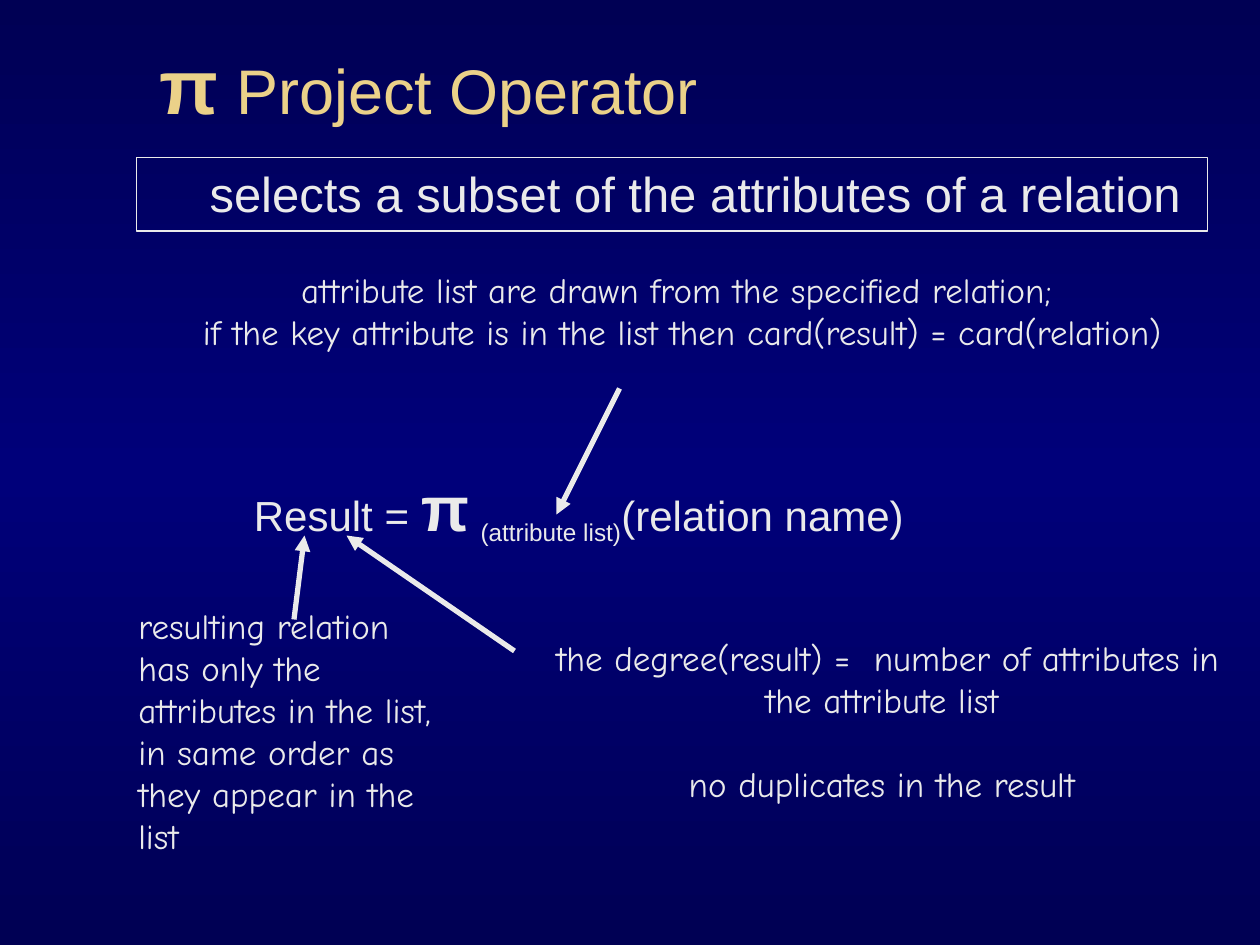
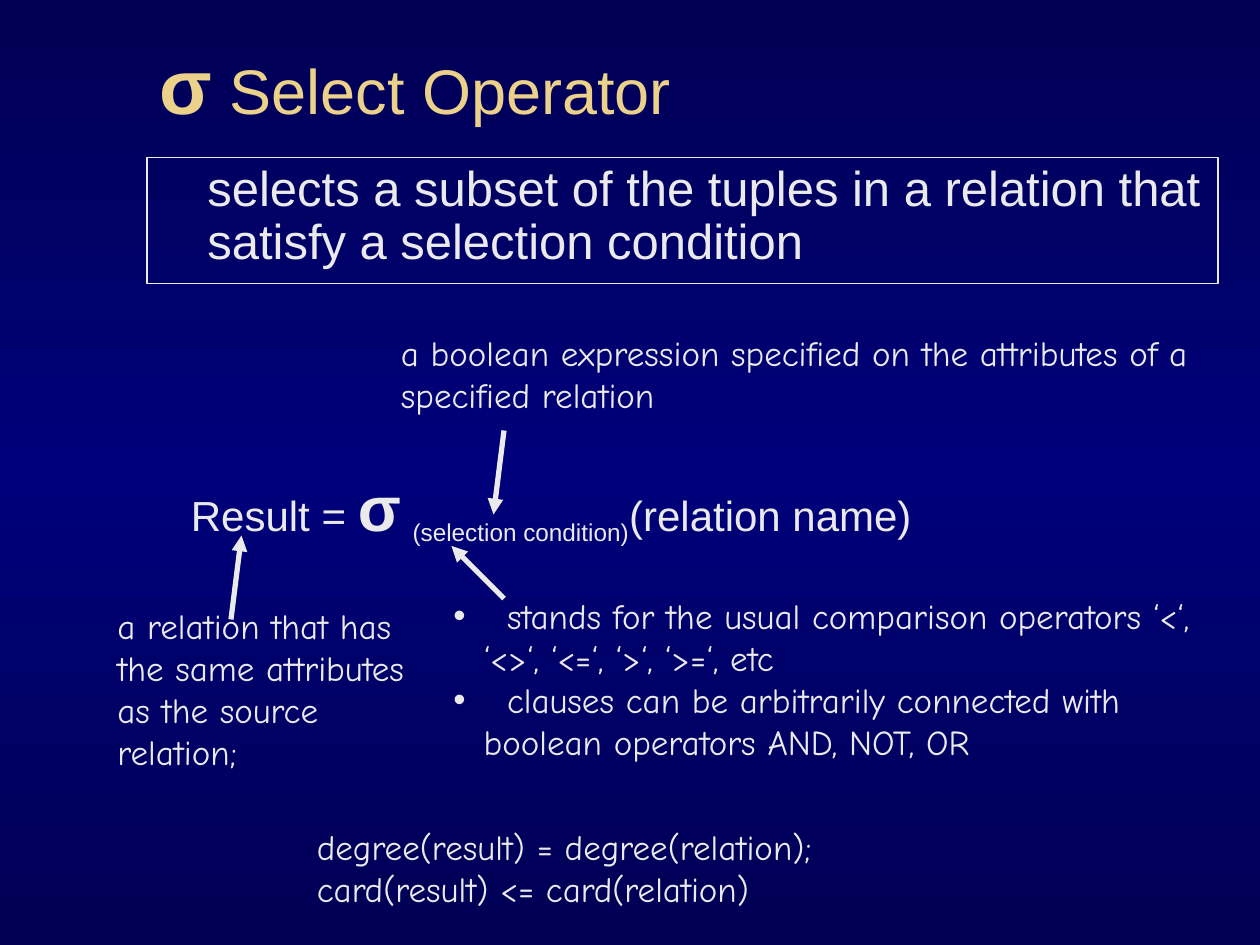
from copy import deepcopy

from lxml import etree
from pptx import Presentation, util as u
from pptx.dml.color import RGBColor
from pptx.enum import shapes, text
from pptx.oxml.ns import qn

COLORS = {"edge": "000054", "middle": "00007A", "title": "EBD189", "text": "EAEAEA"}
BODY_FONT, NOTE_FONT = "Arial", "Comic Neue"
COLS, ROWS = 120, 90
WIDTH, HEIGHT = u.Inches(10), u.Inches(7.5)
LEFT, CENTER = text.PP_ALIGN.LEFT, text.PP_ALIGN.CENTER


def grid(*cells):
    """Turn column, row pairs into lengths."""
    return [u.Emu(round(c * (HEIGHT / ROWS if i % 2 else WIDTH / COLS)))
            for i, c in enumerate(cells)]


def rgb(name):
    return RGBColor.from_string(COLORS[name])


def write(tf, paragraphs, size=20, font=NOTE_FONT, color="text", align=LEFT,
          gap=None, spacing=None, margin=None, hanging=0, bullet=None):
    """Each paragraph is a string or a list of (string, run format) pairs."""
    tf.word_wrap = True
    tf.auto_size = text.MSO_AUTO_SIZE.NONE
    for i, runs in enumerate(paragraphs):
        p = tf.paragraphs[0] if i == 0 else tf.add_paragraph()
        p.alignment = align
        if gap and i:
            p.space_before = u.Pt(gap)
        if spacing:
            p.line_spacing = spacing
        if margin is not None:
            pPr = p._p.get_or_add_pPr()
            pPr.set("marL", str(u.Inches(margin)))
            pPr.set("indent", str(-u.Inches(hanging)))
            if bullet:
                etree.SubElement(pPr, qn("a:buFont"), typeface="Arial")
                etree.SubElement(pPr, qn("a:buChar"), char=bullet)
            else:
                etree.SubElement(pPr, qn("a:buNone"))
        for words, fmt in [(runs, {})] if isinstance(runs, str) else runs:
            r = p.add_run()
            r.text = words
            r.font.name = font
            r.font.size = u.Pt(fmt.get("size", size))
            r.font.bold = fmt.get("bold", False)
            r.font.color.rgb = rgb(color)
            if "baseline" in fmt:
                r._r.get_or_add_rPr().set("baseline", str(fmt["baseline"] * 1000))


def paint_background(master):
    fill = master.background.fill
    fill.gradient()
    fill.gradient_angle = 90
    first, middle = fill.gradient_stops
    first.color.rgb, middle.color.rgb = rgb("edge"), rgb("middle")
    first.position, middle.position = 0, 0.5
    stops = master.element.find(".//" + qn("a:gsLst"))
    last = deepcopy(stops[0])
    last.set("pos", "100000")
    stops.append(last)


def place(sp, cells):
    sp.left, sp.top, sp.width, sp.height = grid(*cells)


def operator_slide(prs, symbol, name, definition, box, margin, spacing=None):
    """Title with the operator's symbol and a framed definition."""
    s = prs.slides.add_slide(prs.slide_layouts[1])
    title, body = s.placeholders
    place(title, (14, 4, 102, 9))
    title.text_frame.vertical_anchor = text.MSO_ANCHOR.BOTTOM
    write(title.text_frame, [[(symbol, {"size": 44, "bold": True}), (f" {name}", {})]],
          size=36, font=BODY_FONT, color="title")
    place(body, box)
    body.line.color.rgb = rgb("text")
    body.line.width = u.Pt(0.75)
    write(body.text_frame, [definition], size=28, font=BODY_FONT,
          margin=margin, spacing=spacing)
    return s


def note(s, cells, paragraphs, **fmt):
    sp = s.shapes.add_textbox(*grid(*cells))
    write(sp.text_frame, paragraphs, **fmt)


def formula(s, col, symbol, subscript):
    note(s, (col, 44, 97, 13.2),
         [[("Result = ", {}), (symbol, {"size": 36, "bold": True}), (" ", {}),
           (f"({subscript})", {"baseline": -25}), ("(relation name)", {})]],
         size=24, font=BODY_FONT)


def arrow(s, *ends):
    line = s.shapes.add_connector(shapes.MSO_CONNECTOR.STRAIGHT, *grid(*ends))
    line.line.color.rgb = rgb("text")
    line.line.width = u.Pt(3)
    etree.SubElement(line.line._get_or_add_ln(), qn("a:tailEnd"), type="triangle")
    etree.SubElement(line._element.spPr, qn("a:effectLst"))


def project_slide(prs):
    s = operator_slide(prs, "π", "Project Operator",
                       "selects a subset of the attributes of a relation",
                       (13, 15, 102, 7), margin=0.48)
    formula(s, 23, "π", "attribute list")
    note(s, (10, 25, 110, 9.25),
         ["attribute list are drawn from the specified relation; ",
          "if the key attribute is in the list then card(result) = card(relation)"],
         align=CENTER)
    note(s, (12, 57, 31, 25.25),
         ["resulting relation has only the attributes in the list, "
          "in same order as they appear in the list"])
    note(s, (48, 60, 72, 17.25),
         [" the degree(result) =  number of attributes in the attribute list",
          "no duplicates in the result"], align=CENTER, gap=24)
    arrow(s, 59, 37, 53, 49)
    arrow(s, 28, 59, 29, 51)
    arrow(s, 49, 62, 33, 51)


def select_slide(prs):
    s = operator_slide(prs, "σ", "Select Operator",
                       "selects a subset of the tuples in a relation that "
                       "satisfy a selection condition",
                       (14, 15, 102, 12), margin=0.38, spacing=0.9)
    formula(s, 17, "σ", "selection condition")
    note(s, (37, 31, 79, 9.25),
         ["a boolean expression specified on the attributes of a specified relation"])
    note(s, (10, 57, 31, 17.25),
         ["a relation that has the same attributes as the source relation;"])
    note(s, (42, 56, 78, 17.25),
         ["  stands for the usual comparison operators ‘<‘, ‘<>‘, ‘<=‘, ‘>‘, ‘>=‘, etc",
          "  clauses can be arbitrarily connected with boolean operators AND, NOT, OR"],
         margin=0.24, hanging=0.24, bullet="•")
    note(s, (29, 78, 55, 9.25),
         ["degree(result) = degree(relation);", "card(result) <= card(relation)"])
    arrow(s, 48, 41, 47, 49)
    arrow(s, 22, 59, 23, 51)
    arrow(s, 48, 57, 43, 52)


def main():
    prs = Presentation()
    prs.slide_width, prs.slide_height = WIDTH, HEIGHT
    paint_background(prs.slide_master)
    project_slide(prs)
    select_slide(prs)
    prs.save("out.pptx")


if __name__ == "__main__":
    main()
